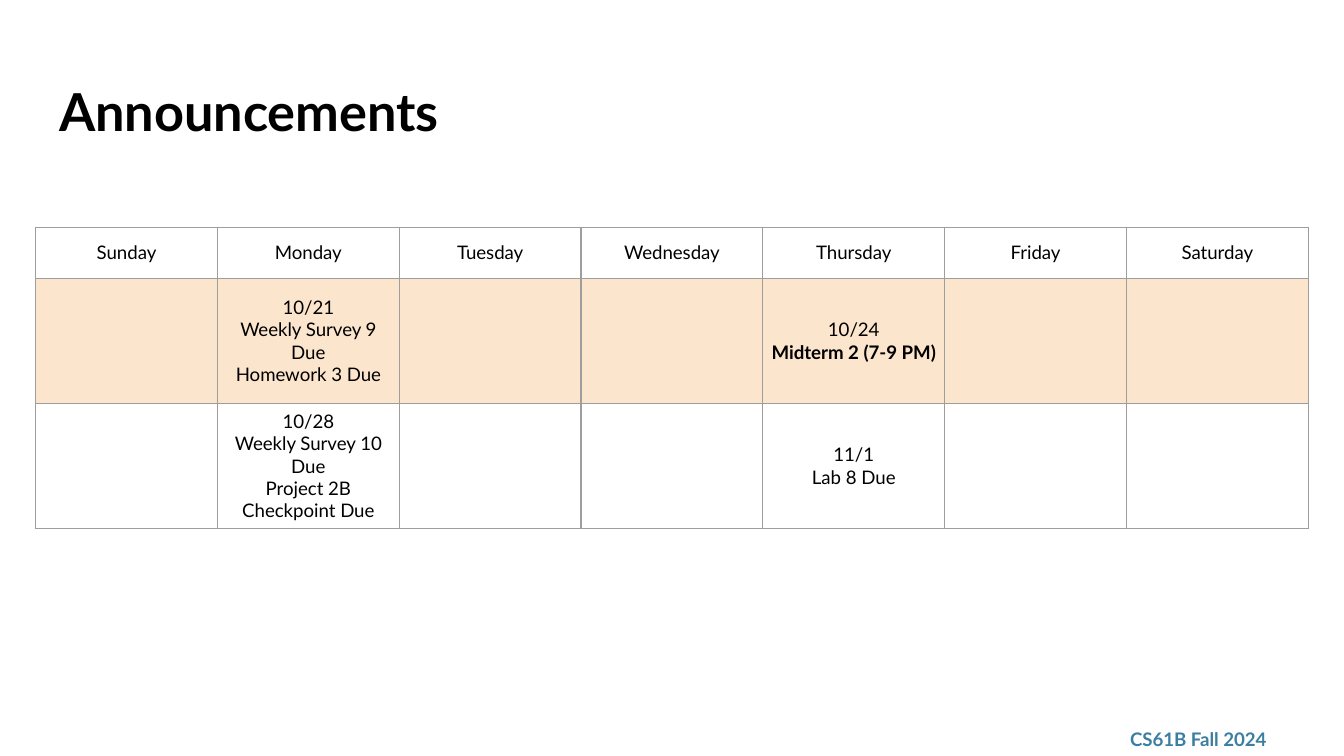
from dataclasses import dataclass

import pptx
import pptx.dml.color
import pptx.enum.text
import pptx.oxml
import pptx.oxml.ns
import pptx.table
import pptx.text.text
import pptx.util

Inches = pptx.util.Inches
ALIGN = pptx.enum.text.PP_ALIGN
ANCHOR = pptx.enum.text.MSO_ANCHOR

BLACK = "000000"
BLUE = "3B7EA1"
PEACH = "FCE5CD"
GRAY = "9E9E9E"
DAYS = ["Sunday", "Monday", "Tuesday", "Wednesday", "Thursday", "Friday", "Saturday"]
ROW_HEIGHTS = [0.38, 0.93, 0.93]
SLIDE_WIDTH = 10
SLIDE_HEIGHT = SLIDE_WIDTH * 9 / 16
TABLE_WIDTH = 9.47
TABLE_LEFT = (SLIDE_WIDTH - TABLE_WIDTH) / 2


@dataclass
class Week:
    events: dict[str, list[str]]
    fill: str | None = None
    bold_lines: tuple[str, ...] = ()


WEEKS = [
    Week(
        {
            "Monday": ["10/21", "Weekly Survey 9 Due", "Homework 3 Due"],
            "Thursday": ["10/24", "Midterm 2 (7-9 PM)"],
        },
        fill=PEACH,
        bold_lines=("Midterm 2 (7-9 PM)",),
    ),
    Week(
        {
            "Monday": ["10/28", "Weekly Survey 10 Due", "Project 2B Checkpoint Due"],
            "Thursday": ["11/1", "Lab 8 Due"],
        }
    ),
]


def rgb(color: str) -> pptx.dml.color.RGBColor:
    return pptx.dml.color.RGBColor.from_string(color)


def write_text(
    frame: pptx.text.text.TextFrame,
    lines: list[str],
    size: float = 10,
    color: str = BLACK,
    bold_lines: tuple[str, ...] = (),
    align: ALIGN = ALIGN.LEFT,
) -> None:
    for index, line in enumerate(lines):
        paragraph = frame.add_paragraph() if index else frame.paragraphs[0]
        paragraph.alignment = align
        run = paragraph.add_run()
        run.text = line
        run.font.name = "Lato"
        run.font.size = pptx.util.Pt(size)
        run.font.bold = line in bold_lines
        run.font.color.rgb = rgb(color)


def set_frame(frame: pptx.text.text.TextFrame, anchor: ANCHOR) -> None:
    frame.word_wrap = True
    frame.auto_size = pptx.enum.text.MSO_AUTO_SIZE.NONE
    frame.vertical_anchor = anchor
    frame.margin_left = frame.margin_right = Inches(0.1)
    frame.margin_top = frame.margin_bottom = Inches(0.1)


def add_borders(cell: pptx.table._Cell) -> None:
    properties = cell._tc.get_or_add_tcPr()
    for side in ("lnL", "lnR", "lnT", "lnB"):
        properties.append(
            pptx.oxml.parse_xml(
                f'<a:{side} {pptx.oxml.ns.nsdecls("a")} w="{pptx.util.Pt(0.75)}">'
                f'<a:solidFill><a:srgbClr val="{GRAY}"/></a:solidFill></a:{side}>'
            )
        )


def fill_cell(
    cell: pptx.table._Cell,
    lines: list[str],
    fill: str | None = None,
    bold_lines: tuple[str, ...] = (),
) -> None:
    add_borders(cell)
    if fill:
        cell.fill.solid()
        cell.fill.fore_color.rgb = rgb(fill)
    else:
        cell.fill.background()
    cell.vertical_anchor = ANCHOR.MIDDLE
    cell.margin_left = cell.margin_right = Inches(0.05)
    cell.margin_top = cell.margin_bottom = Inches(0.05)
    write_text(cell.text_frame, lines, bold_lines=bold_lines, align=ALIGN.CENTER)


def main() -> None:
    presentation = pptx.Presentation()
    presentation.slide_width = Inches(SLIDE_WIDTH)
    presentation.slide_height = Inches(SLIDE_HEIGHT)
    slide = presentation.slides.add_slide(presentation.slide_layouts[5])

    footer = slide.shapes.add_textbox(Inches(8.31), Inches(5.37), Inches(1.35), Inches(0.26))
    set_frame(footer.text_frame, ANCHOR.MIDDLE)
    course = "CS61B Fall 2024"
    write_text(footer.text_frame, [course], color=BLUE, bold_lines=(course,))

    title = slide.shapes.title
    title.left, title.top = Inches(0.34), Inches(0.49)
    title.width, title.height = Inches(9.32), Inches(0.63)
    set_frame(title.text_frame, ANCHOR.TOP)
    heading = "Announcements"
    write_text(title.text_frame, [heading], size=28, bold_lines=(heading,))

    table = slide.shapes.add_table(
        len(ROW_HEIGHTS), len(DAYS), Inches(TABLE_LEFT), Inches(1.69),
        Inches(TABLE_WIDTH), Inches(sum(ROW_HEIGHTS)),
    ).table
    table.first_row = table.horz_banding = False
    for row, height in zip(table.rows, ROW_HEIGHTS):
        row.height = Inches(height)
    for column_index, day in enumerate(DAYS):
        table.columns[column_index].width = Inches(TABLE_WIDTH / len(DAYS))
        fill_cell(table.cell(0, column_index), [day])
        for row_index, week in enumerate(WEEKS, start=1):
            fill_cell(
                table.cell(row_index, column_index),
                week.events.get(day, []),
                fill=week.fill,
                bold_lines=week.bold_lines,
            )

    presentation.save("out.pptx")


if __name__ == "__main__":
    main()
